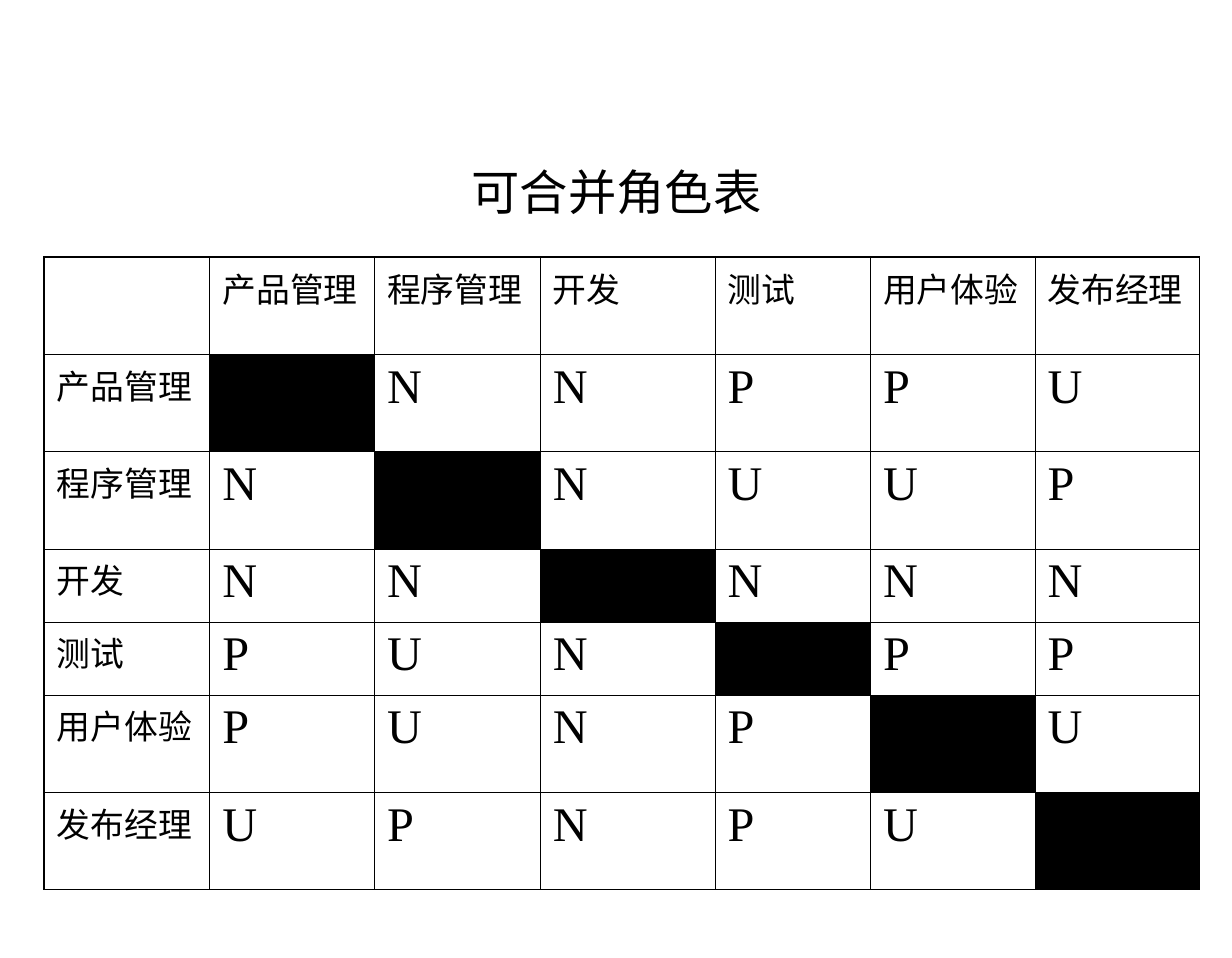
"""Build the slide showing which team roles can be combined."""
from lxml import etree
from pptx import Presentation
from pptx.dml.color import RGBColor
from pptx.enum import text as t
from pptx.oxml import ns
from pptx.util import Inches, Pt

TITLE = "可合并角色表"
ROLES = ["产品管理", "程序管理", "开发", "测试", "用户体验", "发布经理"]
RATINGS = [
    ["", "N", "N", "P", "P", "U"],
    ["N", "", "N", "U", "U", "P"],
    ["N", "N", "", "N", "N", "N"],
    ["P", "U", "N", "", "P", "P"],
    ["P", "U", "N", "P", "", "U"],
    ["U", "P", "N", "P", "U", ""],
]
COLUMN_WIDTHS = [1.43, 1.42, 1.43, 1.51, 1.34, 1.42, 1.42]
ROW_HEIGHTS = [0.84, 0.84, 0.84, 0.63, 0.63, 0.84, 0.84]
BLACK = RGBColor(0, 0, 0)
LATIN_FONT = "Times New Roman"
CHINESE_FONT = "Noto Sans CJK SC"
THIN, THICK = 0.45, 1.08


def write(frame, wording, size, font=LATIN_FONT, align=t.PP_ALIGN.LEFT, before=0):
    """Put one formatted paragraph into a text frame."""
    paragraph = frame.paragraphs[0]
    paragraph.alignment = align
    paragraph.space_before = Pt(before)
    run = paragraph.add_run()
    run.text = wording
    run.font.size = Pt(size)
    run.font.bold = False
    run.font.name = font
    run.font.color.rgb = BLACK
    east_asian = etree.SubElement(run.font._element, ns.qn("a:ea"))
    east_asian.set("typeface", CHINESE_FONT)


def set_borders(cell, widths):
    """Draw the left, right, top and bottom borders of a cell."""
    properties = cell._tc.get_or_add_tcPr()
    for place, (side, width) in enumerate(zip("LRTB", widths)):
        line = etree.Element(ns.qn(f"a:ln{side}"), w=str(Pt(width)))
        fill = etree.SubElement(line, ns.qn("a:solidFill"))
        etree.SubElement(fill, ns.qn("a:srgbClr"), val=str(BLACK))
        properties.insert(place, line)


def set_margins(area):
    """Give a cell or text frame its inner margins."""
    area.margin_left = area.margin_right = Inches(0.11)
    area.margin_top = area.margin_bottom = Inches(0.05)


def main():
    """Lay out the title and the role table."""
    deck = Presentation()
    deck.slide_width, deck.slide_height = Inches(10.63), Inches(8.27)
    slide = deck.slides.add_slide(deck.slide_layouts[5])

    title = slide.shapes.title
    title.left, title.top = Inches(0.8), Inches(1.19)
    title.width, title.height = Inches(9.04), Inches(0.92)
    title.text_frame.vertical_anchor = t.MSO_ANCHOR.MIDDLE
    set_margins(title.text_frame)
    write(title.text_frame, TITLE, 30, font=CHINESE_FONT, align=t.PP_ALIGN.CENTER)

    rows = [["", *ROLES]] + [[role, *marks] for role, marks in zip(ROLES, RATINGS)]
    last = len(ROLES)
    roles = slide.shapes.add_table(
        len(rows), len(rows[0]), Inches(0.38), Inches(2.22),
        Inches(sum(COLUMN_WIDTHS)), Inches(sum(ROW_HEIGHTS))).table
    roles.first_row = roles.horz_banding = False
    for column, width in zip(roles.columns, COLUMN_WIDTHS):
        column.width = Inches(width)
    for row, height in zip(roles.rows, ROW_HEIGHTS):
        row.height = Inches(height)

    for r, row in enumerate(rows):
        for c, wording in enumerate(row):
            cell = roles.cell(r, c)
            set_margins(cell)
            if r == c > 0:
                cell.fill.solid()
                cell.fill.fore_color.rgb = BLACK
            else:
                cell.fill.background()
            outer = (c == 0, c == last, r == 0, r == last)
            set_borders(cell, [THICK if edge else THIN for edge in outer])
            if wording:
                heading = r == 0 or c == 0
                write(cell.text_frame, wording, 21 if heading else 30,
                      before=5.2 if heading else 7.5)

    deck.save("out.pptx")


if __name__ == "__main__":
    main()
